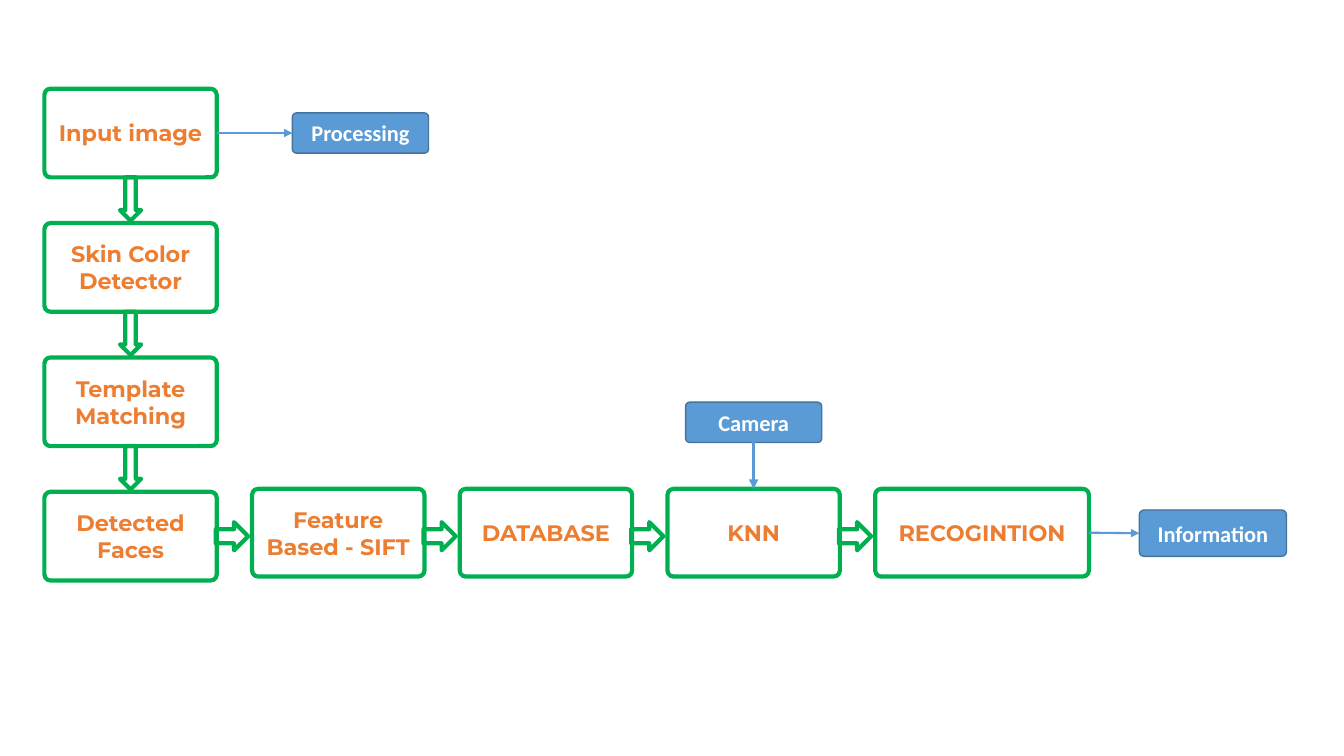
from dataclasses import dataclass

from lxml import etree
from pptx import Presentation
from pptx.dml.color import RGBColor
from pptx.enum.dml import MSO_LINE
from pptx.enum.shapes import MSO_CONNECTOR, MSO_SHAPE
from pptx.enum.text import MSO_ANCHOR, PP_ALIGN
from pptx.oxml.ns import qn
from pptx.util import Inches, Pt

ROUNDED = MSO_SHAPE.ROUNDED_RECTANGLE
DOWN_ARROW = MSO_SHAPE.DOWN_ARROW
STRAIGHT = MSO_CONNECTOR.STRAIGHT
SOLID = MSO_LINE.SOLID
MIDDLE = MSO_ANCHOR.MIDDLE
CENTER = PP_ALIGN.CENTER
TOP, LEFT, BOTTOM, RIGHT = range(4)


@dataclass(frozen=True)
class Theme:
    green: str = "00B050"
    orange: str = "ED7D31"
    blue: str = "5B9BD5"
    dark_blue: str = "43739E"
    white: str = "FFFFFF"
    stage_font: str = "Montserrat"
    label_font: str = "Calibri"
    text_size: int = 16
    stage_line: float = 3
    label_line: float = 1


THEME = Theme()
STAGE_LEFT, STAGE_TOP = 0.44, 0.88
STAGE_WIDTH = 1.71
COLUMN_HEIGHT, ROW_HEIGHT = 0.88, 0.87
COLUMN_PITCH, ROW_PITCH = 1.333, 2.06
ROW_LEFT, ROW_TOP = 2.5, 4.85
COLUMN_STAGES = ["Input image", "Skin Color Detector", "Template Matching", "Detected Faces"]
ROW_STAGES = [
    ("Feature Based - SIFT", STAGE_WIDTH),
    ("DATABASE", STAGE_WIDTH),
    ("KNN", STAGE_WIDTH),
    ("RECOGINTION", 2.12),
]


def color(value):
    return RGBColor.from_string(value)


def add_outline(page, kind, left, top, width, height, *, line, line_width, fill=None):
    box = page.shapes.add_shape(kind, Inches(left), Inches(top), Inches(width), Inches(height))
    box.shadow.inherit = False
    if fill:
        box.fill.solid()
        box.fill.fore_color.rgb = color(fill)
    else:
        box.fill.background()
    box.line.color.rgb = color(line)
    box.line.width = Pt(line_width)
    return box


def write_text(box, text, *, font, ink):
    frame = box.text_frame
    frame.word_wrap = True
    frame.vertical_anchor = MIDDLE
    para = frame.paragraphs[0]
    para.alignment = CENTER
    span = para.add_run()
    span.text = text
    span.font.name = font
    span.font.size = Pt(THEME.text_size)
    span.font.bold = True
    span.font.color.rgb = color(ink)


def add_stage(page, text, left, top, width, height):
    box = add_outline(page, ROUNDED, left, top, width, height,
                      line=THEME.green, line_width=THEME.stage_line)
    box.adjustments[0] = 0.069
    write_text(box, text, font=THEME.stage_font, ink=THEME.orange)
    return box


def add_label(page, text, left, top, width=1.35, height=0.4):
    box = add_outline(page, ROUNDED, left, top, width, height, fill=THEME.blue,
                      line=THEME.dark_blue, line_width=THEME.label_line)
    box.adjustments[0] = 0.103
    write_text(box, text, font=THEME.label_font, ink=THEME.white)
    return box


def add_block_arrow(page, left, top, width, height, rotation=0):
    arrow = add_outline(page, DOWN_ARROW, left, top, width, height,
                        line=THEME.green, line_width=THEME.stage_line)
    arrow.rotation = rotation


def join(page, start, start_side, end, end_side, line_width=1.5):
    link = page.shapes.add_connector(STRAIGHT, 0, 0, 0, 0)
    link.begin_connect(start, start_side)
    link.end_connect(end, end_side)
    link.line.color.rgb = color(THEME.blue)
    link.line.width = Pt(line_width)
    link.line.dash_style = SOLID
    properties = link._element.spPr
    etree.SubElement(properties.find(qn("a:ln")), qn("a:tailEnd"), type="triangle")
    etree.SubElement(properties, qn("a:effectLst"))


def add_column(page):
    stages = []
    for index, text in enumerate(COLUMN_STAGES):
        top = STAGE_TOP + index * COLUMN_PITCH
        stages.append(add_stage(page, text, STAGE_LEFT, top, STAGE_WIDTH, COLUMN_HEIGHT))
        if index < len(COLUMN_STAGES) - 1:
            add_block_arrow(page, 1.19, top + COLUMN_HEIGHT, 0.21, 0.43)
    return stages


def add_row(page):
    stages = []
    for index, (text, width) in enumerate(ROW_STAGES):
        left = ROW_LEFT + index * ROW_PITCH
        stages.append(add_stage(page, text, left, ROW_TOP, width, ROW_HEIGHT))
        add_block_arrow(page, left - 0.34, 5.16, 0.28, 0.32, rotation=270)
    return stages


def main():
    deck = Presentation()
    deck.slide_width, deck.slide_height = Inches(13.33), Inches(7.5)
    page = deck.slides.add_slide(deck.slide_layouts[6])

    input_image = add_column(page)[0]
    knn, recognition = add_row(page)[2:]
    processing = add_label(page, "Processing", 2.9, 1.12)
    camera = add_label(page, "Camera", 6.8, 3.99)
    information = add_label(page, "Information", 11.3, 5.06, 1.46, 0.46)

    join(page, input_image, RIGHT, processing, LEFT)
    join(page, camera, BOTTOM, knn, TOP, line_width=2.25)
    join(page, recognition, RIGHT, information, LEFT)
    deck.save("out.pptx")


if __name__ == "__main__":
    main()
